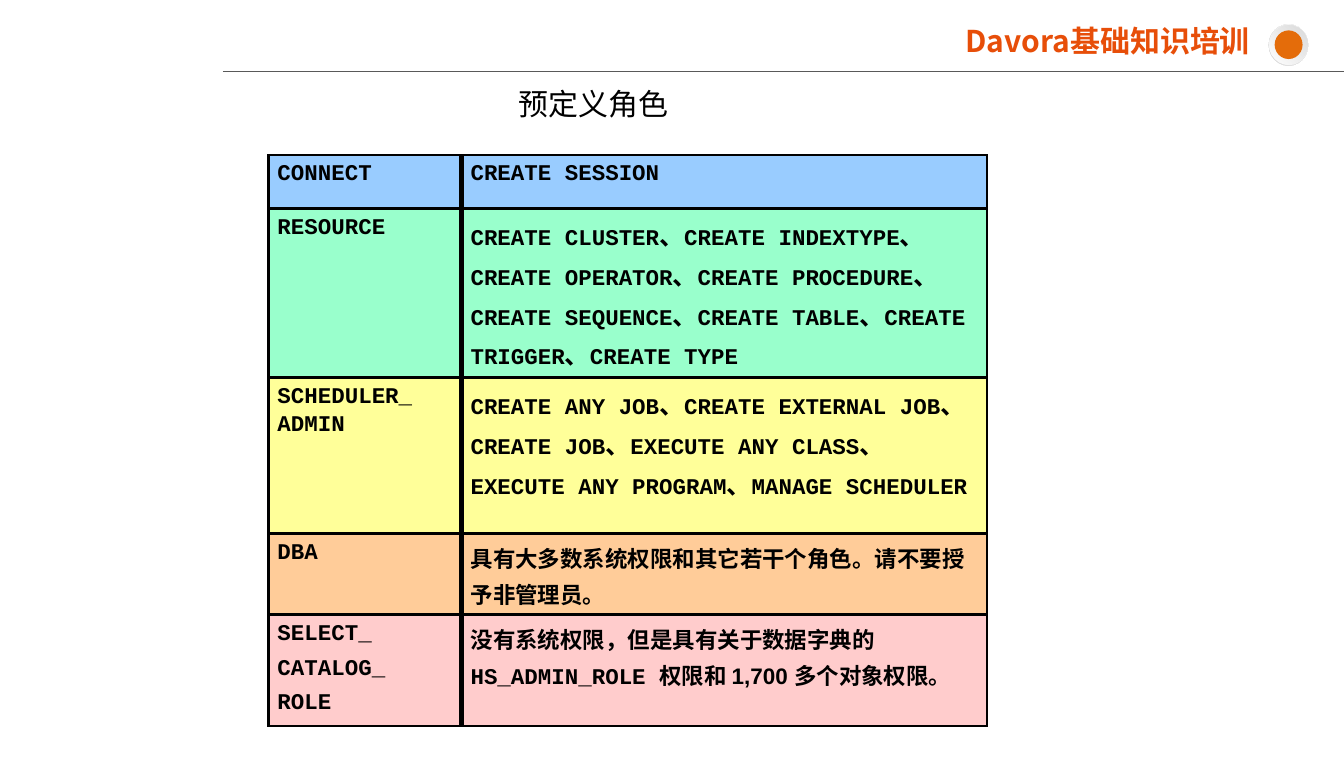
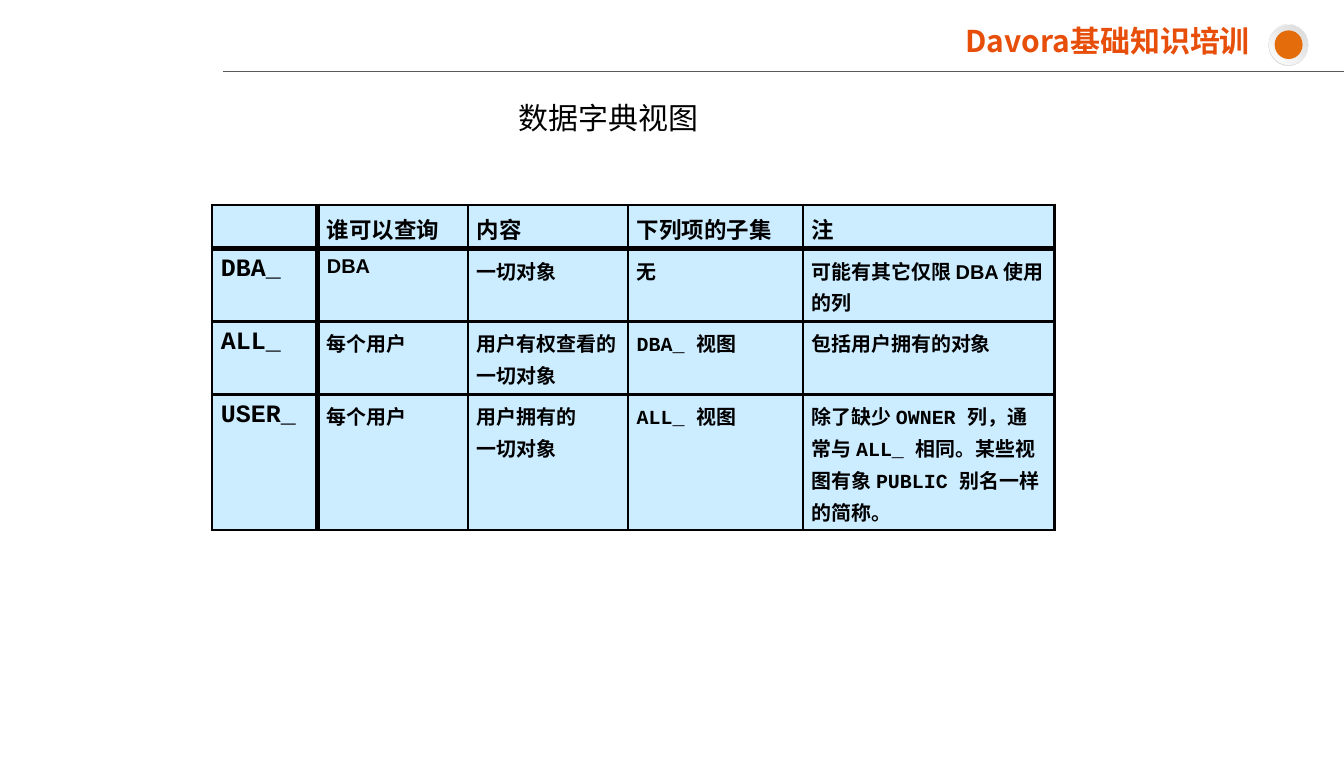
"""Build two slides on database roles and data dictionary views."""
from dataclasses import dataclass

from lxml.etree import SubElement
from pptx import Presentation
from pptx.dml.color import RGBColor
from pptx.enum.shapes import MSO_CONNECTOR, MSO_SHAPE
from pptx.enum.text import MSO_ANCHOR, PP_ALIGN
from pptx.oxml.ns import qn
from pptx.util import Cm, Pt


@dataclass(frozen=True)
class Theme:
    ink: str = "000000"
    accent: str = "E74E09"
    dot: str = "E46C0A"
    rule: str = "595959"
    white: str = "FFFFFF"
    silver: str = "D9D9D9"
    pearl: str = "FEFEFE"
    blue: str = "99CCFF"
    green: str = "99FFCC"
    yellow: str = "FFFF99"
    orange: str = "FFCC99"
    pink: str = "FFCCCC"
    sky: str = "CCECFF"
    cjk: str = "Noto Sans CJK SC"
    mono: str = "Courier New"
    sans: str = "Arial"
    heading: int = 24
    large: int = 20
    body: int = 18
    small: int = 16
    thin: float = 2.25
    thick: float = 4.5
    hairline: float = 0.75


THEME = Theme()
STYLES = {
    "code": (THEME.mono, THEME.body),
    "comma": (THEME.mono, THEME.large),
    "prose": (THEME.sans, THEME.body),
    "head": (THEME.cjk, THEME.body),
    "prefix": (THEME.mono, THEME.large),
    "note": (THEME.sans, THEME.small),
    "note_cjk": (THEME.cjk, THEME.small),
    "note_code": (THEME.mono, THEME.small),
}


def lines(style, *texts):
    """Return a cell with one single-style paragraph per text."""
    return [[(style, text)] for text in texts]


def privileges(*names):
    """Return a cell listing privileges with larger separators."""
    runs = [("code", names[0])]
    for name in names[1:]:
        runs += [("comma", "、"), ("code", name)]
    return [runs]


HEADER = "Davora基础知识培训"
ROLES = [
    [lines("code", "CONNECT"), privileges("CREATE SESSION")],
    [lines("code", "RESOURCE"),
     privileges("CREATE CLUSTER", "CREATE INDEXTYPE", "CREATE OPERATOR",
                "CREATE PROCEDURE", "CREATE SEQUENCE", "CREATE TABLE",
                "CREATE TRIGGER", "CREATE TYPE")],
    [lines("code", "SCHEDULER_ ADMIN"),
     privileges("CREATE ANY JOB", "CREATE EXTERNAL JOB", "CREATE JOB",
                "EXECUTE ANY CLASS", "EXECUTE ANY PROGRAM",
                "MANAGE SCHEDULER")],
    [lines("code", "DBA"),
     lines("prose", "具有大多数系统权限和其它若干个角色。请不要授予非管理员。")],
    [lines("code", "SELECT_", "CATALOG_", "ROLE"),
     [[("prose", "没有系统权限，但是具有关于数据字典的 "),
       ("code", "HS_ADMIN_ROLE "),
       ("prose", "权限和 1,700 多个对象权限。")]]],
]
VIEWS = [
    [[]] + [lines("head", text)
            for text in ("谁可以查询", "内容", "下列项的子集", "注")],
    [lines("prefix", "DBA_"), lines("note", "DBA"),
     lines("note", "一切对象"), lines("note", "无"),
     [[("note_cjk", "可能有其它仅限 "), ("note", "DBA "),
       ("note_cjk", "使用的列")]]],
    [lines("prefix", "ALL_"), lines("note", "每个用户"),
     lines("note", "用户有权查看的一切对象"), lines("note_code", "DBA_ 视图"),
     lines("note", "包括用户拥有的对象")],
    [lines("prefix", "USER_"), lines("note", "每个用户"),
     lines("note", "用户拥有的\n一切对象"), lines("note_code", "ALL_ 视图"),
     [[("note", "除了缺少 "), ("note_code", "OWNER "),
       ("note", "列，通常与 "), ("note_code", "ALL_ "),
       ("note", "相同。某些视图有象 "), ("note_code", "PUBLIC "),
       ("note", "别名一样的简称。")]]],
]
SLIDES = [
    {"title": "预定义角色", "title_top": 2.59, "cells": ROLES,
     "origin": (7.59, 4.39), "widths": (5.46, 14.86),
     "heights": (1.5, 4.78, 4.42, 2.29, 3),
     "fills": (THEME.blue, THEME.green, THEME.yellow, THEME.orange,
               THEME.pink),
     "header_row": False},
    {"title": "数据字典视图", "title_top": 3, "cells": VIEWS,
     "origin": (5.99, 5.79), "widths": (3, 4.24, 4.52, 4.95, 7.11),
     "heights": (1.24, 2.06, 2.06, 3.84),
     "fills": (THEME.sky,) * 4, "header_row": True},
]
BADGE = [
    ((35.87, 0.69, 1.12, 1.17), (THEME.white, THEME.silver)),
    ((35.89, 0.71, 1.09, 1.12), (THEME.silver, THEME.pearl)),
    ((36.04, 0.86, 0.79, 0.81), (THEME.dot,)),
]


def rgb(code):
    return RGBColor.from_string(code)


def format_run(run, font, size, color=THEME.ink, bold=True):
    run.font.name, run.font.size, run.font.bold = font, Pt(size), bold
    run.font.color.rgb = rgb(color)
    SubElement(run.font._element, qn("a:ea"), typeface=THEME.cjk)


def space_before(paragraph, percent):
    spacing = SubElement(paragraph._p.get_or_add_pPr(), qn("a:spcBef"))
    SubElement(spacing, qn("a:spcPct"), val=str(percent * 1000))


def add_badge(slide):
    for box, colors in BADGE:
        disc = slide.shapes.add_shape(MSO_SHAPE.OVAL, *map(Cm, box))
        disc.shadow.inherit = False
        disc.line.fill.background()
        if len(colors) == 1:
            disc.fill.solid()
            disc.fill.fore_color.rgb = rgb(colors[0])
            continue
        disc.fill.gradient()
        for stop, color in zip(disc.fill.gradient_stops, colors):
            stop.color.rgb = rgb(color)
        gradient = disc.element.spPr.find(qn("a:gradFill"))
        gradient.remove(gradient.find(qn("a:lin")))
        radial = SubElement(gradient, qn("a:path"))
        radial.set("path", "circle")
        SubElement(radial, qn("a:fillToRect"), l="100000", b="100000")


def add_header(slide):
    rule = slide.shapes.add_connector(
        MSO_CONNECTOR.STRAIGHT, Cm(6.3), Cm(2.01), Cm(38), Cm(2.01))
    rule.line.color.rgb = rgb(THEME.rule)
    rule.line.width = Pt(THEME.hairline)
    SubElement(rule.element.spPr, qn("a:effectLst"))
    add_badge(slide)
    course = slide.shapes.add_textbox(Cm(22.61), Cm(0.64), Cm(12.98), Cm(1.4))
    frame = course.text_frame
    frame.word_wrap = True
    frame.margin_top = 0
    frame.text = HEADER
    frame.paragraphs[0].alignment = PP_ALIGN.RIGHT
    format_run(frame.paragraphs[0].runs[0], THEME.cjk, THEME.heading,
               THEME.accent)


def set_title(slide, text, top):
    title = slide.shapes.title
    title.left, title.top = Cm(14.4), Cm(top)
    title.width, title.height = Cm(20.32), Cm(2.44)
    frame = title.text_frame
    frame.vertical_anchor = MSO_ANCHOR.TOP
    frame.text = text
    paragraph = frame.paragraphs[0]
    paragraph.alignment = PP_ALIGN.LEFT
    paragraph.line_spacing = Pt(20)
    format_run(paragraph.runs[0], THEME.cjk, THEME.heading, bold=False)


def set_borders(cell, thick_sides):
    properties = cell._tc.get_or_add_tcPr()
    for side in "LRTB":
        width = THEME.thick if side in thick_sides else THEME.thin
        border = SubElement(properties, qn(f"a:ln{side}"), w=str(Pt(width)))
        fill = SubElement(border, qn("a:solidFill"))
        SubElement(fill, qn("a:srgbClr"), val=THEME.ink)


def fill_text(cell, paragraphs):
    frame = cell.text_frame
    for index, runs in enumerate(paragraphs):
        paragraph = frame.add_paragraph() if index else frame.paragraphs[0]
        paragraph.line_spacing = 1.1
        space_before(paragraph, 30)
        for style, text in runs:
            for part, piece in enumerate(text.split("\n")):
                if part:
                    paragraph.add_line_break()
                run = paragraph.add_run()
                run.text = piece
                format_run(run, *STYLES[style])


def add_grid(slide, content):
    widths, heights = content["widths"], content["heights"]
    table = slide.shapes.add_table(
        len(heights), len(widths), *map(Cm, content["origin"]),
        Cm(sum(widths)), Cm(sum(heights))).table
    table.first_row = table.horz_banding = False
    for column, width in zip(table.columns, widths):
        column.width = Cm(width)
    for row, height in zip(table.rows, heights):
        row.height = Cm(height)
    for r, cells in enumerate(content["cells"]):
        for c, paragraphs in enumerate(cells):
            cell = table.cell(r, c)
            thick = {0: "R", 1: "L"}.get(c, "")
            if content["header_row"]:
                thick += {0: "B", 1: "T"}.get(r, "")
            set_borders(cell, thick)
            cell.fill.solid()
            cell.fill.fore_color.rgb = rgb(content["fills"][r])
            fill_text(cell, paragraphs)


def main():
    deck = Presentation()
    deck.slide_width, deck.slide_height = Cm(38), Cm(22)
    for content in SLIDES:
        slide = deck.slides.add_slide(deck.slide_layouts[5])
        add_header(slide)
        set_title(slide, content["title"], content["title_top"])
        add_grid(slide, content)
    deck.save("out.pptx")


if __name__ == "__main__":
    main()
